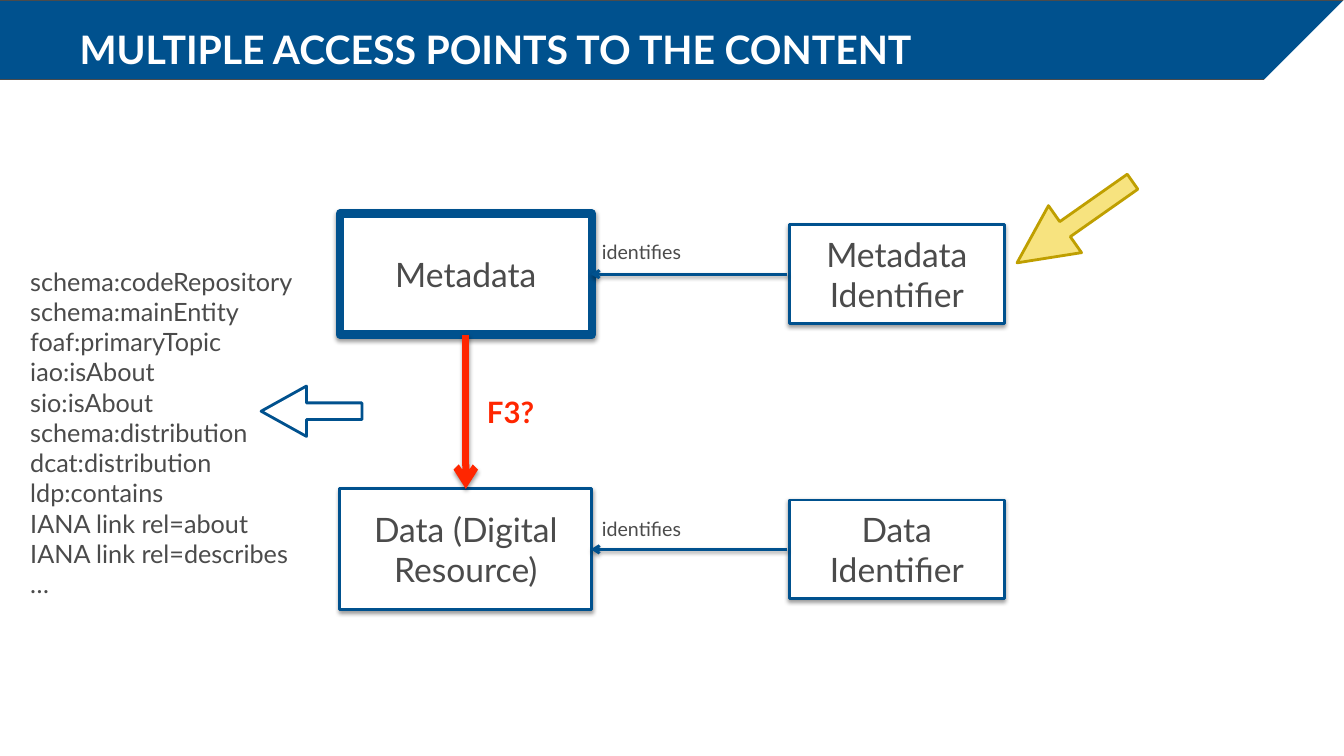
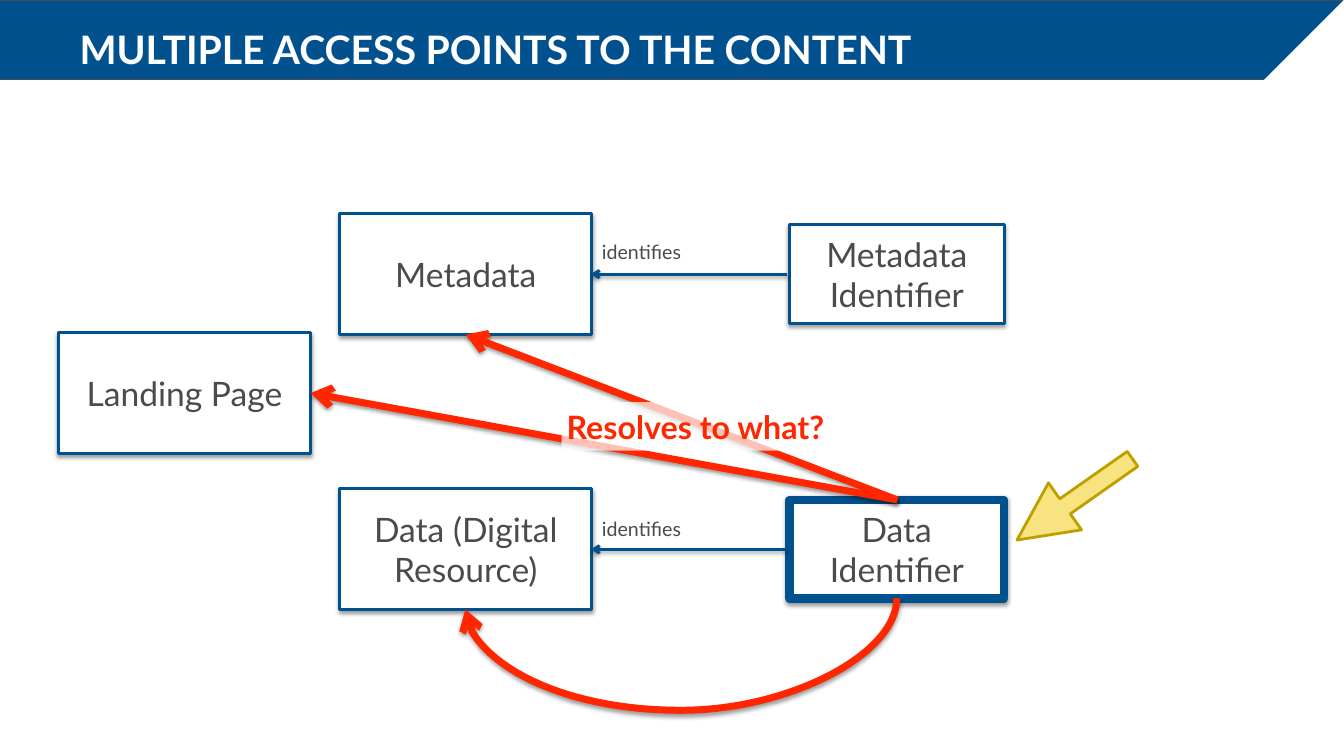
"""Builds two slides on the access points to metadata and data."""
from lxml.etree import SubElement
from pptx import Presentation
from pptx.dml.color import RGBColor
from pptx.enum.shapes import MSO_CONNECTOR as CONNECTOR, MSO_SHAPE as SHAPE
from pptx.enum.text import MSO_ANCHOR as ANCHOR, MSO_AUTO_SIZE as AUTO_SIZE, PP_ALIGN as ALIGN
from pptx.oxml.ns import qn
from pptx.util import Inches, Pt

BLUE = RGBColor(0x00, 0x51, 0x8E)
GREY = RGBColor(0x4B, 0x4B, 0x4B)
RED = RGBColor(0xFF, 0x26, 0x00)
WHITE = RGBColor(0xFF, 0xFF, 0xFF)
YELLOW = RGBColor(0xF7, 0xE3, 0x7F)
GOLD = RGBColor(0xBF, 0x9F, 0x00)
FONT = "Lato"
TITLE = "MULTIPLE ACCESS POINTS TO THE CONTENT"
SLIDE_WIDTH = 13.33
BAND_HEIGHT = 0.79
CORNER = 0.81

BOXES = {
    "Data (Digital Resource)": (3.37, 4.85, 2.5, 1.2),
    "Metadata": (3.37, 2.12, 2.5, 1.2),
    "Metadata Identifier": (7.83, 2.23, 2.13, 0.98),
    "Data Identifier": (7.83, 4.96, 2.13, 0.98),
}
LANDING_PAGE = {"Landing Page": (0.58, 3.3, 2.5, 1.2)}
IDENTIFIES = [
    (CONNECTOR.STRAIGHT, (7.81, y), (5.86, y), BLUE, 2) for y in (2.72, 5.45)
]
LINK_TYPES = """schema:codeRepository
schema:mainEntity
foaf:primaryTopic
iao:isAbout
sio:isAbout
schema:distribution
dcat:distribution
ldp:contains
IANA link rel=about
IANA link rel=describes
…"""

SLIDES = [
    {
        "boxes": BOXES,
        "focus": "Metadata",
        "pointer_top": 1.92,
        "arrows": [(CONNECTOR.STRAIGHT, (4.62, 3.32), (4.62, 4.85), RED, 5)],
    },
    {
        "boxes": BOXES | LANDING_PAGE,
        "focus": "Data Identifier",
        "pointer_top": 4.67,
        "arrows": [
            (CONNECTOR.CURVE, (6.7, 3.85), (6.81, 8.13), RED, 5),
            (CONNECTOR.STRAIGHT, (8.9, 4.96), (4.62, 3.32), RED, 5),
            (CONNECTOR.STRAIGHT, (8.9, 4.96), (3.08, 3.9), RED, 5),
        ],
    },
]


def write(box, text, size, color=GREY, bold=False, align=ALIGN.LEFT,
          anchor=ANCHOR.TOP, inset=0.05, wrap=True):
    frame = box.text_frame
    frame.text = text
    frame.word_wrap = wrap
    frame.auto_size = AUTO_SIZE.NONE if wrap else AUTO_SIZE.SHAPE_TO_FIT_TEXT
    frame.vertical_anchor = anchor
    frame.margin_left = frame.margin_right = Inches(inset)
    frame.margin_top = frame.margin_bottom = Inches(inset)
    for para in frame.paragraphs:
        para.alignment = align
        for span in para.runs:
            span.font.name = FONT
            span.font.size = Pt(size)
            span.font.bold = bold
            span.font.color.rgb = color


def cast_shadow(shape):
    effects = SubElement(shape.element.spPr, qn("a:effectLst"))
    shadow = SubElement(effects, qn("a:outerShdw"), blurRad=str(Pt(3)), dist=str(Pt(1.6)),
                        dir="5400000", rotWithShape="0")
    black = SubElement(shadow, qn("a:srgbClr"), val="000000")
    SubElement(black, qn("a:alpha"), val="38000")


deck = Presentation()
deck.slide_width = Inches(SLIDE_WIDTH)
deck.slide_height = Inches(7.5)
pages = []

for content in SLIDES:
    page = deck.slides.add_slide(deck.slide_layouts[6])
    pages.append(page)

    band = page.shapes.add_shape(SHAPE.RECTANGLE, 0, 0, Inches(SLIDE_WIDTH), Inches(BAND_HEIGHT))
    band.shadow.inherit = False
    band.fill.solid()
    band.fill.fore_color.rgb = BLUE
    band.line.color.rgb = GREY
    band.line.width = Pt(0.75)

    outline = page.shapes.build_freeform(Inches(SLIDE_WIDTH), 0)
    outline.add_line_segments([
        (Inches(SLIDE_WIDTH), Inches(CORNER)),
        (Inches(SLIDE_WIDTH - CORNER), Inches(CORNER)),
    ])
    corner = outline.convert_to_shape()
    corner.shadow.inherit = False
    corner.fill.solid()
    corner.fill.fore_color.rgb = WHITE
    corner.line.fill.background()

    title = page.shapes.add_textbox(Inches(0.79), Inches(0.25), Inches(11.76), Inches(0.47))
    write(title, TITLE, size=28, color=WHITE, bold=True, anchor=ANCHOR.BOTTOM, inset=0)

    for name, place in content["boxes"].items():
        box = page.shapes.add_shape(SHAPE.RECTANGLE, *map(Inches, place))
        box.fill.solid()
        box.fill.fore_color.rgb = WHITE
        box.line.color.rgb = BLUE
        box.line.width = Pt(6 if name == content["focus"] else 2)
        cast_shadow(box)
        write(box, name, size=24, align=ALIGN.CENTER, anchor=ANCHOR.MIDDLE)

    for kind, start, end, color, width in IDENTIFIES + content["arrows"]:
        arrow = page.shapes.add_connector(kind, *map(Inches, start + end))
        arrow.line.color.rgb = color
        arrow.line.width = Pt(width)
        SubElement(arrow.get_or_add_ln(), qn("a:tailEnd"), type="arrow")
        cast_shadow(arrow)
        if kind == CONNECTOR.CURVE:
            properties = arrow.element.spPr
            properties.find(qn("a:xfrm")).set("rot", "5400000")
            guides = properties.find(qn("a:prstGeom")).find(qn("a:avLst"))
            SubElement(guides, qn("a:gd"), name="adj1", fmla="val 1012000")

    for top in (2.33, 5.08):
        label = page.shapes.add_textbox(Inches(5.92), Inches(top), Inches(0.93), Inches(0.32))
        write(label, "identifies", size=14, wrap=False)

    pointer = page.shapes.add_shape(SHAPE.RIGHT_ARROW, Inches(9.96), Inches(content["pointer_top"]),
                                    Inches(1.4), Inches(0.57))
    pointer.shadow.inherit = False
    pointer.rotation = 144.9
    pointer.adjustments[0] = 0.32
    pointer.adjustments[1] = 1.02
    pointer.fill.solid()
    pointer.fill.fore_color.rgb = YELLOW
    pointer.line.color.rgb = GOLD
    pointer.line.width = Pt(2)

links_page, resolving_page = pages

link_types = links_page.shapes.add_textbox(Inches(0.25), Inches(2.59), Inches(2.75), Inches(3.31))
write(link_types, LINK_TYPES, size=18, wrap=False)

links_arrow = links_page.shapes.add_shape(SHAPE.LEFT_ARROW, Inches(2.59), Inches(3.83),
                                          Inches(1), Inches(0.5))
links_arrow.shadow.inherit = False
links_arrow.adjustments[0] = 0.33
links_arrow.adjustments[1] = 0.9
links_arrow.fill.solid()
links_arrow.fill.fore_color.rgb = WHITE
links_arrow.line.color.rgb = BLUE
links_arrow.line.width = Pt(2)

principle = links_page.shapes.add_textbox(Inches(4.78), Inches(3.86), Inches(0.58), Inches(0.45))
write(principle, "F3?", size=21, color=RED, bold=True, wrap=False)

question = resolving_page.shapes.add_textbox(Inches(5.57), Inches(3.99), Inches(2.77), Inches(0.48))
question.fill.solid()
question.fill.fore_color.rgb = WHITE
fill_color = question.element.spPr.find(qn("a:solidFill")).find(qn("a:srgbClr"))
SubElement(fill_color, qn("a:alpha"), val="71000")
write(question, "Resolves to what?", size=23, color=RED, bold=True, wrap=False)

deck.save("out.pptx")
